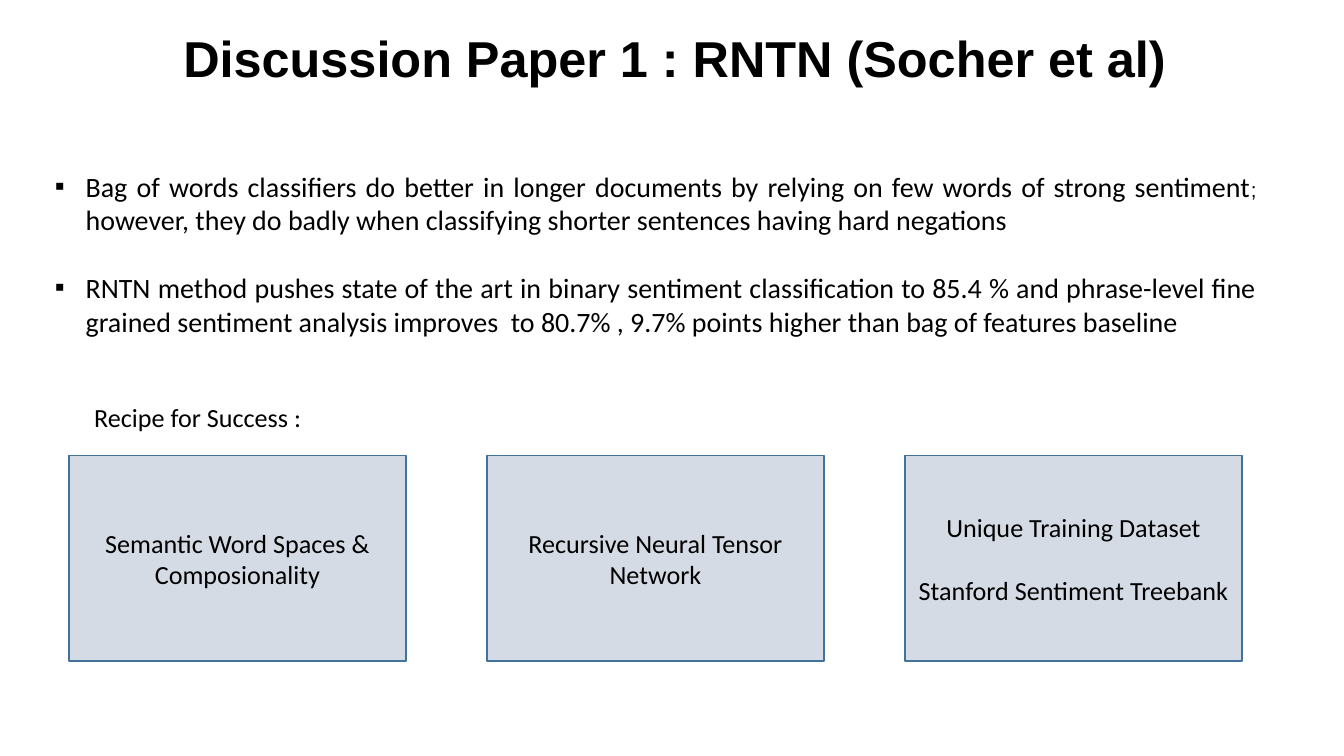
from dataclasses import dataclass

from lxml.etree import SubElement
from pptx import Presentation
from pptx.dml.color import RGBColor
from pptx.enum.shapes import MSO_SHAPE as Shape
from pptx.enum.text import MSO_ANCHOR as Anchor, PP_ALIGN as Align
from pptx.oxml.ns import qn
from pptx.util import Cm, Pt


@dataclass(frozen=True)
class Theme:
    ink: str = "000000"
    box_fill: str = "D5DBE5"
    box_line: str = "42719B"
    heading_font: str = "Arial"
    body_font: str = "Calibri"
    title_size: float = 27
    bullet_size: float = 15
    label_size: float = 14
    small_size: float = 11


class SlideBuilder:
    def __init__(self, slide, theme):
        self.slide = slide
        self.theme = theme

    def style(self, font, size, name=None, bold=False):
        font.size = Pt(size)
        font.name = name or self.theme.body_font
        font.bold = bold
        font.color.rgb = RGBColor.from_string(self.theme.ink)

    def prepare(self, text_frame, anchor):
        text_frame.word_wrap = True
        text_frame.vertical_anchor = anchor
        text_frame.margin_left = text_frame.margin_right = Cm(0.18)
        text_frame.margin_top = text_frame.margin_bottom = Cm(0.1)
        return text_frame

    def text_frame(self, left, top, width, height, anchor=Anchor.TOP):
        shape = self.slide.shapes.add_textbox(Cm(left), Cm(top), Cm(width), Cm(height))
        return self.prepare(shape.text_frame, anchor)

    def paragraphs(self, text_frame, texts, align, gap):
        """Fill the frame with one paragraph per text, gap points apart."""
        text_frame.text = "\n".join(texts)
        for index, paragraph in enumerate(text_frame.paragraphs):
            paragraph.alignment = align
            if index:
                paragraph.space_before = Pt(gap)
        return text_frame.paragraphs

    def title(self, text, *area):
        text_frame = self.text_frame(*area, anchor=Anchor.BOTTOM)
        text_frame.text = text
        paragraph = text_frame.paragraphs[0]
        paragraph.alignment = Align.CENTER
        paragraph.line_spacing = 0.9
        self.style(paragraph.runs[0].font, self.theme.title_size, self.theme.heading_font, True)

    def label(self, text, *area):
        text_frame = self.text_frame(*area)
        text_frame.text = text
        self.style(text_frame.paragraphs[0].runs[0].font, self.theme.label_size)

    def bullets(self, texts, *area):
        """Justified bullets; a semicolon is set in the small heading font."""
        text_frame = self.text_frame(*area)
        for paragraph in self.paragraphs(text_frame, texts, Align.JUSTIFY, gap=18.3):
            self.add_bullet(paragraph)
            first, semicolon, rest = paragraph.text.partition(";")
            paragraph.runs[0].text = first
            self.style(paragraph.runs[0].font, self.theme.bullet_size)
            if semicolon:
                mark, tail = paragraph.add_run(), paragraph.add_run()
                mark.text, tail.text = semicolon, rest
                self.style(mark.font, self.theme.small_size, self.theme.heading_font)
                self.style(tail.font, self.theme.bullet_size)

    def add_bullet(self, paragraph):
        properties = paragraph._p.get_or_add_pPr()
        properties.set("marL", str(Cm(0.6)))
        properties.set("indent", str(-Cm(0.58)))
        color = SubElement(properties, qn("a:buClr"))
        SubElement(color, qn("a:srgbClr"), val=self.theme.ink)
        SubElement(properties, qn("a:buFont"), typeface=self.theme.heading_font)
        SubElement(properties, qn("a:buChar"), char="▪")

    def box(self, texts, left, top, width, height):
        shape = self.slide.shapes.add_shape(
            Shape.RECTANGLE, Cm(left), Cm(top), Cm(width), Cm(height))
        shape.shadow.inherit = False
        shape.fill.solid()
        shape.fill.fore_color.rgb = RGBColor.from_string(self.theme.box_fill)
        shape.line.color.rgb = RGBColor.from_string(self.theme.box_line)
        shape.line.width = Pt(1)
        text_frame = self.prepare(shape.text_frame, Anchor.MIDDLE)
        for paragraph in self.paragraphs(text_frame, texts, Align.CENTER, gap=17):
            self.style(paragraph.runs[0].font, self.theme.label_size)


BULLETS = [
    "Bag of words classifiers do better in longer documents by relying on few words of "
    "strong sentiment; however, they do badly when classifying shorter sentences having "
    "hard negations",
    "RNTN method pushes state of the art in binary sentiment classification to 85.4 % and "
    "phrase-level fine grained sentiment analysis improves  to 80.7% , 9.7% points higher "
    "than bag of features baseline",
]
INGREDIENTS = [
    ["Semantic Word Spaces & Composionality"],
    ["Recursive Neural Tensor Network"],
    ["Unique Training Dataset", "Stanford Sentiment Treebank"],
]
BOX_LEFT, BOX_PITCH = 1.3, 7.9


def main():
    presentation = Presentation()
    presentation.slide_width, presentation.slide_height = Cm(25.4), Cm(14.29)
    slide = presentation.slides.add_slide(presentation.slide_layouts[6])
    builder = SlideBuilder(slide, Theme())

    builder.title("Discussion Paper 1 : RNTN (Socher et al)", 2.34, 0.18, 20.83, 1.6)
    builder.bullets(BULLETS, 0.84, 3.1, 23.09, 4.67)
    builder.label("Recipe for Success :", 1.6, 7.49, 8.18, 0.76)
    for column, texts in enumerate(INGREDIENTS):
        builder.box(texts, BOX_LEFT + column * BOX_PITCH, 8.61, 6.38, 3.89)

    presentation.save("out.pptx")


if __name__ == "__main__":
    main()
